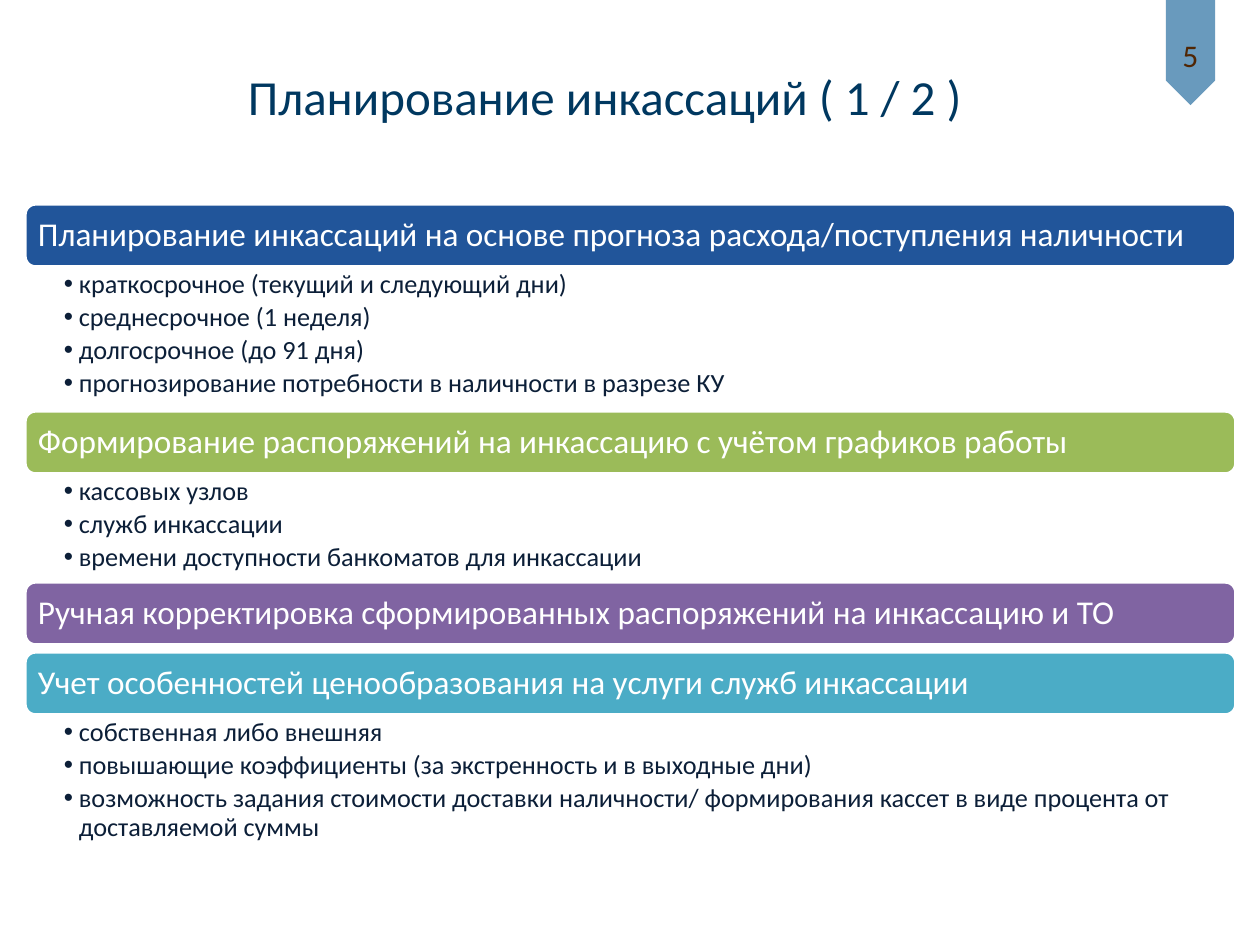
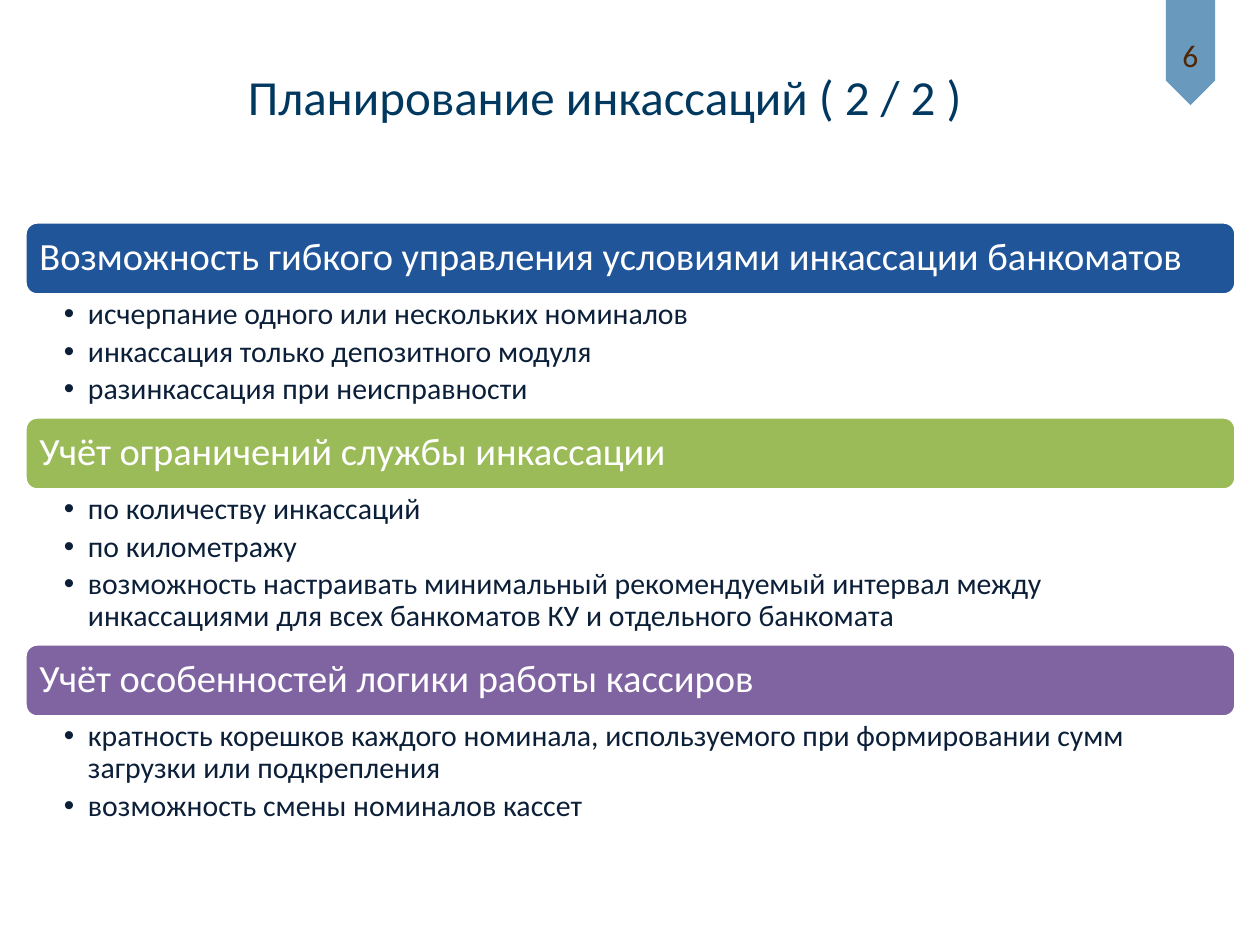
from lxml import etree
from pptx import Presentation
from pptx import util as u
from pptx.dml.color import RGBColor
from pptx.enum import shapes, text
from pptx.oxml.ns import qn

PX_PER_INCH = 126
FONT = "Calibri"
WHITE = RGBColor(0xFF, 0xFF, 0xFF)
RIBBON = RGBColor(0x00, 0x54, 0x90)
TITLE = RGBColor(0x00, 0x38, 0x60)
NUMBER = RGBColor(0x50, 0x26, 0x04)
BODY = RGBColor(0x0C, 0x1F, 0x38)
BAND_COLOURS = [
    RGBColor(0x21, 0x55, 0x9A),
    RGBColor(0x9B, 0xBB, 0x59),
    RGBColor(0x80, 0x64, 0xA2),
    RGBColor(0x4B, 0xAC, 0xC6),
]

LIST_LEFT, LIST_WIDTH = 25, 1211
BAND_GAP = 7

LARGE = dict(band=73, heading=22, bullet=17, pad=11, right=21, hang=24)
SMALL = dict(band=63, heading=19, bullet=15, pad=10, right=19, hang=15)

SLIDES = [
    dict(number="5", title="Планирование инкассаций ( 1 / 2 )", top=204, style=SMALL, sections=[
        ("Планирование инкассаций на основе прогноза расхода/поступления наличности", 144, [
            "краткосрочное (текущий и следующий дни)",
            "среднесрочное (1 неделя)",
            "долгосрочное (до 91 дня)",
            "прогнозирование потребности в наличности в разрезе КУ",
        ]),
        ("Формирование распоряжений на инкассацию с учётом графиков работы", 108, [
            "кассовых узлов",
            "служб инкассации",
            "времени доступности банкоматов для инкассации",
        ]),
        ("Ручная корректировка сформированных распоряжений на инкассацию и ТО", BAND_GAP, []),
        ("Учет особенностей ценообразования на услуги служб инкассации", 136, [
            "собственная либо внешняя",
            "повышающие коэффициенты (за экстренность и в выходные дни)",
            "возможность задания стоимости доставки наличности/ формирования кассет "
            "в виде процента от доставляемой суммы",
        ]),
    ]),
    dict(number="6", title="Планирование инкассаций ( 2 / 2 )", top=222, style=LARGE, sections=[
        ("Возможность гибкого управления условиями инкассации банкоматов", 122, [
            "исчерпание одного или нескольких номиналов",
            "инкассация только депозитного модуля",
            "разинкассация при неисправности",
        ]),
        ("Учёт ограничений службы инкассации", 154, [
            "по количеству инкассаций",
            "по километражу",
            "возможность настраивать минимальный рекомендуемый интервал между "
            "инкассациями для всех банкоматов КУ и отдельного банкомата",
        ]),
        ("Учёт особенностей логики работы кассиров", 116, [
            "кратность корешков каждого номинала, используемого при формировании "
            "сумм загрузки или подкрепления",
            "возможность смены номиналов кассет",
        ]),
    ]),
]


def px(length):
    return u.Inches(length / PX_PER_INCH)


def place(box):
    return [px(length) for length in box]


def set_frame(frame, insets, anchor):
    frame.word_wrap = True
    frame.vertical_anchor = anchor
    (frame.margin_left, frame.margin_top,
     frame.margin_right, frame.margin_bottom) = place(insets)


def write(para, words, size, colour, align=text.PP_ALIGN.LEFT):
    para.alignment = align
    span = para.add_run()
    span.text = words
    span.font.name = FONT
    span.font.size = u.Pt(size)
    span.font.color.rgb = colour


def add_text(page, box, insets, anchor=text.MSO_ANCHOR.TOP):
    frame = page.shapes.add_textbox(*place(box)).text_frame
    set_frame(frame, insets, anchor)
    return frame


def set_bullet(para, hang):
    properties = para._p.get_or_add_pPr()
    properties.set("marL", str(px(hang)))
    properties.set("indent", str(-px(hang)))
    etree.SubElement(properties, qn("a:buFont")).set("typeface", "Arial")
    etree.SubElement(properties, qn("a:buChar")).set("char", "•")


def add_ribbon(page, box, number):
    left, top, width, height = box
    shift = (height - width) // 2
    ribbon = page.shapes.add_shape(
        shapes.MSO_SHAPE.PENTAGON,
        *place((left - shift, top + shift, height, width)))
    ribbon.rotation = 90
    ribbon.shadow.inherit = False
    ribbon.line.fill.background()
    ribbon.fill.solid()
    ribbon.fill.fore_color.rgb = RIBBON
    colour = ribbon._element.spPr.find(qn("a:solidFill"))[0]
    etree.SubElement(colour, qn("a:alpha")).set("val", "59000")

    frame = add_text(page, (left, top + 30, width, 50), (6, 6, 6, 6))
    write(frame.paragraphs[0], number, 18, NUMBER, text.PP_ALIGN.CENTER)


def add_title(page, box, words):
    frame = add_text(page, box, (248, 6, 49, 6), text.MSO_ANCHOR.MIDDLE)
    write(frame.paragraphs[0], words, 28, TITLE)


def add_band(page, box, heading, colour, style):
    band = page.shapes.add_shape(shapes.MSO_SHAPE.ROUNDED_RECTANGLE, *place(box))
    band.shadow.inherit = False
    band.fill.solid()
    band.fill.fore_color.rgb = colour
    band.line.color.rgb = WHITE
    band.line.width = u.Pt(2)
    set_frame(band.text_frame, [style["pad"]] * 4, text.MSO_ANCHOR.MIDDLE)
    para = band.text_frame.paragraphs[0]
    para.line_spacing = 0.9
    write(para, heading, style["heading"], WHITE)


def add_bullets(page, box, items, style):
    frame = add_text(page, box, (39, 4, style["right"], 4))
    for index, item in enumerate(items):
        para = frame.add_paragraph() if index else frame.paragraphs[0]
        para.line_spacing = 0.9
        para.space_after = u.Pt(style["bullet"] * 0.18)
        set_bullet(para, style["hang"])
        write(para, item, style["bullet"], BODY)


def add_sections(page, left, top, width, sections, style):
    for (heading, body_height, items), colour in zip(sections, BAND_COLOURS):
        add_band(page, (left, top, width, style["band"]), heading, colour, style)
        top += style["band"]
        if items:
            add_bullets(page, (left, top, width, body_height), items, style)
        top += body_height


def add_page(deck, content):
    page = deck.slides.add_slide(deck.slide_layouts[6])
    add_ribbon(page, (1166, 0, 49, 105), content["number"])
    add_sections(page, LIST_LEFT, content["top"], LIST_WIDTH,
                 content["sections"], content["style"])
    add_title(page, (0, 26, 1260, 139), content["title"])


def main():
    deck = Presentation()
    deck.slide_width, deck.slide_height = place((1260, 945))
    for content in SLIDES:
        add_page(deck, content)
    deck.save("out.pptx")


if __name__ == "__main__":
    main()
